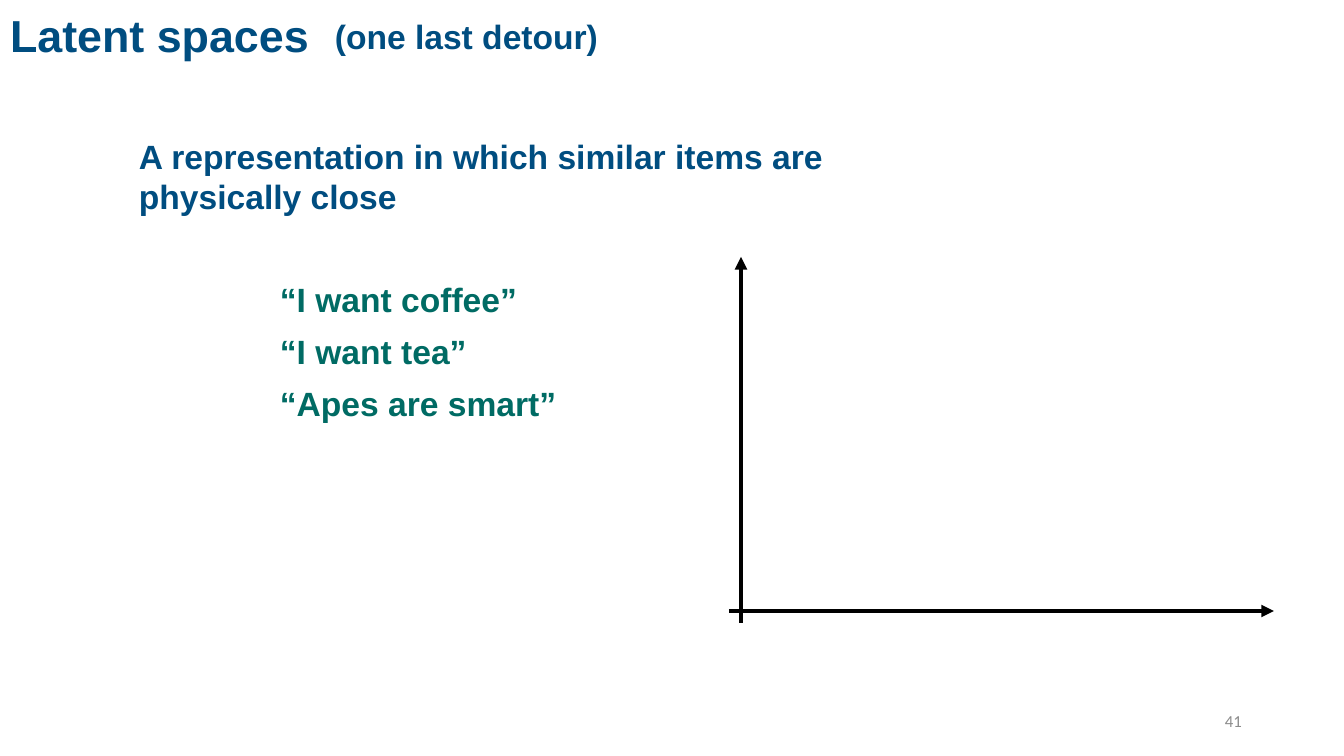
from lxml import etree
from pptx import Presentation
from pptx.dml.color import RGBColor
from pptx.enum.shapes import MSO_CONNECTOR as Connector
from pptx.enum.text import MSO_ANCHOR as Anchor, MSO_AUTO_SIZE as AutoSize, PP_ALIGN as Align
from pptx.oxml.ns import qn
from pptx.util import Pt

# Content
NAVY, GREEN, GRAY, BLACK = "004D80", "006B64", "8C8C8C", "000000"
TITLE = "Latent spaces"
SUBTITLE = "(one last detour)"
DEFINITION = "A representation in which similar items are physically close"
SENTENCES = ["“I want coffee”", "“I want tea”", "“Apes are smart”"]
PAGE_NUMBER = "41"

# Layout in px
SLIDE_WIDTH, SLIDE_HEIGHT = 1344, 756
SENTENCE_LEFT, SENTENCE_TOP, SENTENCE_PITCH = 270, 274, 52
ORIGIN_X, ORIGIN_Y, OVERHANG = 741, 611, 12
AXIS_TOP, AXIS_RIGHT = 257, 1274


def px(length):
    return round(length * 914400 / 100.8)


def color(hex_string):
    return RGBColor.from_string(hex_string)


def write(text, box, shape=None, size=24, font="Arial", fill=NAVY, bold=True,
          align=Align.LEFT, anchor=Anchor.TOP):
    """Put text in a given placeholder or in a new text box."""
    left, top, width, height = map(px, box)
    if shape is None:
        shape = slide.shapes.add_textbox(left, top, width, height)
    shape.left, shape.top, shape.width, shape.height = left, top, width, height
    frame = shape.text_frame
    frame.text = text
    frame.word_wrap = True
    frame.auto_size = AutoSize.NONE
    frame.vertical_anchor = anchor
    paragraph = frame.paragraphs[0]
    paragraph.alignment = align
    run_font = paragraph.runs[0].font
    run_font.name, run_font.size, run_font.bold = font, Pt(size), bold
    run_font.color.rgb = color(fill)


def add_axis(*ends):
    axis = slide.shapes.add_connector(Connector.STRAIGHT, *map(px, ends))
    axis.line.color.rgb = color(BLACK)
    axis.line.width = Pt(3)
    line = axis.line._get_or_add_ln()
    etree.SubElement(line, qn("a:tailEnd"), type="triangle")
    etree.SubElement(axis._element.spPr, qn("a:effectLst"))


presentation = Presentation()
presentation.slide_width, presentation.slide_height = px(SLIDE_WIDTH), px(SLIDE_HEIGHT)
slide = presentation.slides.add_slide(presentation.slide_layouts[5])

# Title and definition
write(TITLE, (0, 3, 403, 65), shape=slide.shapes.title, size=32)
write(SUBTITLE, (325, 11, 471, 50))
write(DEFINITION, (129, 131, 797, 92))

# Axes of the latent space
add_axis(ORIGIN_X, ORIGIN_Y + OVERHANG, ORIGIN_X, AXIS_TOP)
add_axis(ORIGIN_X - OVERHANG, ORIGIN_Y, AXIS_RIGHT, ORIGIN_Y)

# Example sentences
for row, sentence in enumerate(SENTENCES):
    write(sentence, (SENTENCE_LEFT, SENTENCE_TOP + row * SENTENCE_PITCH, 307, 50), fill=GREEN)

# Page number
write(PAGE_NUMBER, (950, 701, 302, 40), size=12, font="Calibri", fill=GRAY, bold=False,
      align=Align.RIGHT, anchor=Anchor.MIDDLE)

presentation.save("out.pptx")
